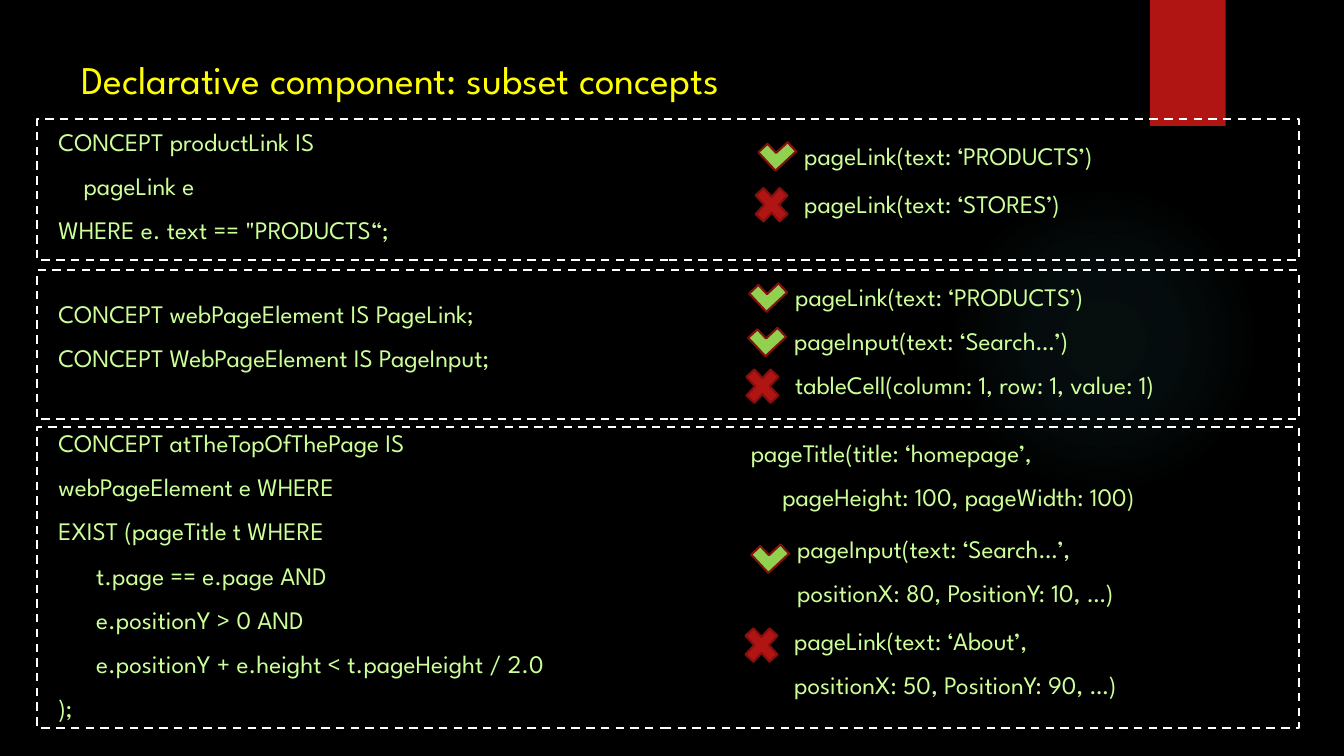
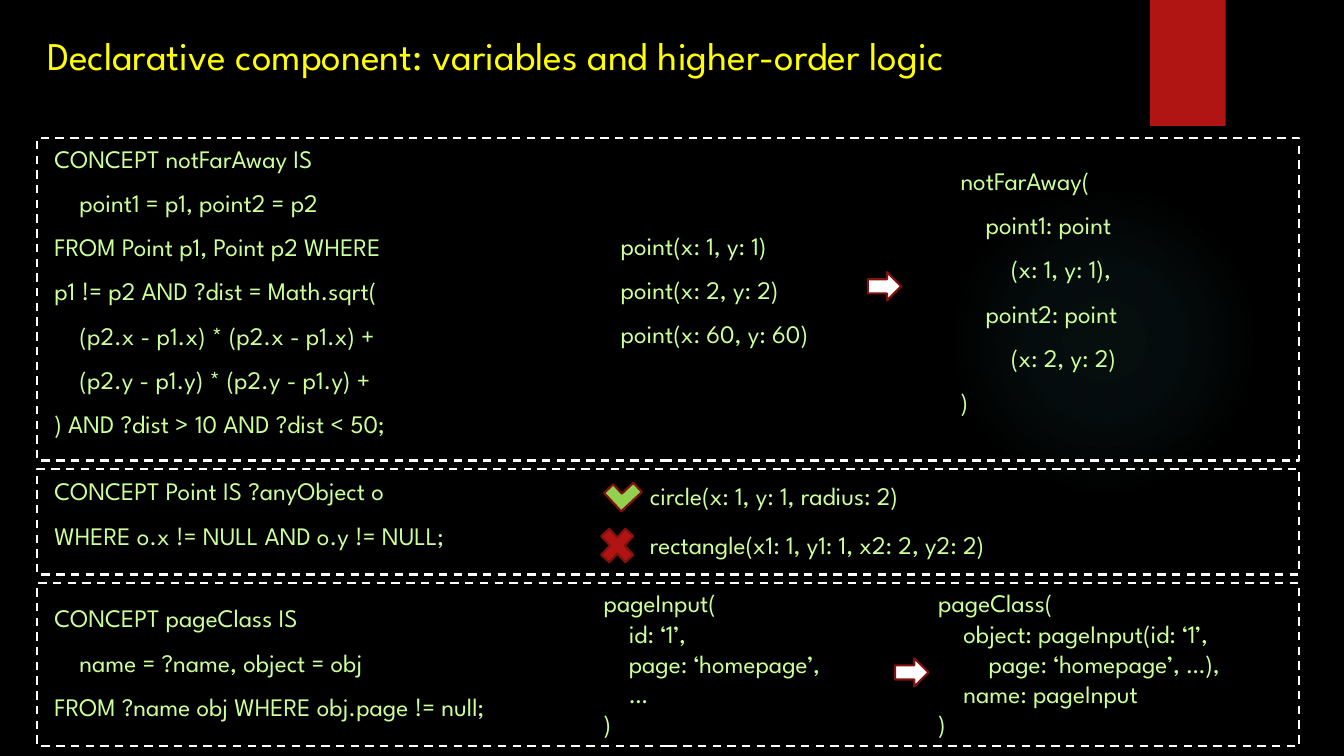
from lxml import etree
from pptx import Presentation
from pptx.dml.color import RGBColor
from pptx.enum.dml import MSO_LINE
from pptx.enum.shapes import MSO_SHAPE as Preset
from pptx.enum.text import MSO_ANCHOR
from pptx.oxml import parse_xml
from pptx.oxml.ns import nsdecls, qn
from pptx.util import Pt

COLORS = {
    "background": "000000",
    "title": "FFFF00",
    "code": "CCFF99",
    "frame": "FFFFFF",
    "arrow": "FFFFFF",
    "ribbon": "B01513",
    "cross": "B01513",
    "tick": "92D050",
    "outline": "82100E",
    "glow": "50B9C1",
}
FONT = "League Spartan"
TITLE_SIZE, CODE_SIZE = 28, 18
LINE_HEIGHT, LINE_GAP, INSET = 21.4, 10, 3.6
INDENT = 18
FRAME_LEFT, FRAME_WIDTH = 26.6, 901.4


def rgb(name):
    return RGBColor.from_string(COLORS[name])


# Basic elements

def add_shape(slide, preset, left, top, width, height, fill=None, line=None):
    shape = slide.shapes.add_shape(preset, Pt(left), Pt(top), Pt(width), Pt(height))
    shape.shadow.inherit = False
    if fill:
        shape.fill.solid()
        shape.fill.fore_color.rgb = rgb(fill)
    else:
        shape.fill.background()
    if line:
        shape.line.color.rgb = rgb(line)
        shape.line.width = Pt(1.5)
    else:
        shape.line.fill.background()
    return shape


def add_text(slide, left, top, width, lines, gap=LINE_GAP, size=CODE_SIZE, color="code"):
    """Each line is a string, or a pair of indent steps and string."""
    height = len(lines) * (LINE_HEIGHT + gap) + 2 * INSET
    box = slide.shapes.add_textbox(Pt(left), Pt(top), Pt(width), Pt(height))
    frame = box.text_frame
    frame.word_wrap = True
    frame.vertical_anchor = MSO_ANCHOR.TOP
    for number, line in enumerate(lines):
        steps, text = line if isinstance(line, tuple) else (0, line)
        paragraph = frame.add_paragraph() if number else frame.paragraphs[0]
        paragraph.text = text
        paragraph.space_before = Pt(gap)
        if steps:
            paragraph._p.get_or_add_pPr().set("marL", str(Pt(steps * INDENT)))
        for run in paragraph.runs:
            run.font.name = FONT
            run.font.size = Pt(size)
            run.font.color.rgb = rgb(color)


# Shared decoration

def add_glow(slide):
    glow = add_shape(slide, Preset.OVAL, 677.5, 131.8, 221.8, 221.8)
    stops = "".join(
        f'<a:gs pos="{position}000"><a:srgbClr val="{COLORS["glow"]}">'
        f'<a:alpha val="{alpha}000"/></a:srgbClr></a:gs>'
        for position, alpha in ((0, 7), (36, 6), (69, 0))
    )
    gradient = parse_xml(
        f'<a:gradFill {nsdecls("a")}><a:gsLst>{stops}</a:gsLst><a:path path="circle">'
        '<a:fillToRect l="50000" t="50000" r="50000" b="50000"/></a:path></a:gradFill>'
    )
    properties = glow._element.spPr
    properties.replace(properties.find(qn("a:noFill")), gradient)


def add_ribbon(slide):
    ribbon = add_shape(slide, Preset.RECTANGLE, 821.5, 0, 54, 90, "ribbon")
    effects = ribbon._element.spPr.find(qn("a:effectLst"))
    shadow = etree.SubElement(
        effects, qn("a:outerShdw"),
        blurRad=str(Pt(3)), dist=str(Pt(2)), dir="5400000", rotWithShape="0")
    color = etree.SubElement(shadow, qn("a:srgbClr"), val="000000")
    etree.SubElement(color, qn("a:alpha"), val="45000")


def add_slide(presentation, title, left, top):
    slide = presentation.slides.add_slide(presentation.slide_layouts[6])
    add_glow(slide)
    add_ribbon(slide)
    add_text(slide, left, top, 780, [title], 0, TITLE_SIZE, "title")
    return slide


# Content elements

def add_frames(slide, spans):
    for top, height in spans:
        frame = add_shape(slide, Preset.RECTANGLE, FRAME_LEFT, top,
                          FRAME_WIDTH, height, line="frame")
        frame.line.dash_style = MSO_LINE.DASH


def add_match(slide, left, top, lines, drop=0):
    add_text(slide, left, top, 355, lines)
    tick = add_shape(slide, Preset.CORNER, left - 22.3, top + 3 + drop,
                     20.2, 18, "tick", "outline")
    tick.rotation = 316.9


def add_mismatch(slide, left, top, lines, drop=0):
    add_text(slide, left, top, 355, lines)
    add_shape(slide, Preset.MATH_MULTIPLY, left - 32.8, top - 2.7 + drop,
              33.1, 36, "cross", "outline")


def add_arrow(slide, left, top):
    add_shape(slide, Preset.RIGHT_ARROW, left, top, 23.8, 20.2, "arrow", "outline")


# Slides

def build_subset_slide(presentation):
    slide = add_slide(presentation, "Declarative component: subset concepts", 51.1, 36)
    add_frames(slide, [(85, 101), (193, 106.5), (305.3, 214.5)])

    # Concept definitions
    add_text(slide, 34.6, 86.4, 409, [
        "CONCEPT productLink IS",
        (1, "pageLink e"),
        'WHERE e. text == "PRODUCTS“;',
    ])
    add_text(slide, 34.6, 209.5, 446, [
        "CONCEPT webPageElement IS PageLink;",
        "CONCEPT WebPageElement IS PageInput;",
    ])
    add_text(slide, 34.6, 301.7, 463, [
        "CONCEPT atTheTopOfThePage IS",
        "webPageElement e WHERE",
        "EXIST (pageTitle t WHERE",
        (1.5, "t.page == e.page AND"),
        (1.5, "e.positionY > 0 AND"),
        (1.5, "e.positionY + e.height < t.pageHeight / 2.0"),
        ");",
    ])

    # Examples
    add_match(slide, 567.4, 96.5, ["pageLink(text: ‘PRODUCTS’)"])
    add_mismatch(slide, 567.4, 131, ["pageLink(text: ‘STORES’)"])
    add_match(slide, 560.9, 197.3, ["pageLink(text: ‘PRODUCTS’)"])
    add_match(slide, 560.2, 229, ["pageInput(text: ‘Search…’)"])
    add_mismatch(slide, 560.9, 260.6, ["tableCell(column: 1, row: 1, value: 1)"])
    add_text(slide, 529.2, 308.9, 364, [
        "pageTitle(title: ‘homepage’,",
        (1.25, "pageHeight: 100, pageWidth: 100)"),
    ])
    add_match(slide, 562.3, 377.3, [
        "pageInput(text: ‘Search…’,",
        "positionX: 80, PositionY: 10, …)",
    ], drop=6.5)
    add_mismatch(slide, 560.2, 442.8, [
        "pageLink(text: ‘About’,",
        "positionX: 50, PositionY: 90, …)",
    ], drop=2.7)


def build_variables_slide(presentation):
    slide = add_slide(
        presentation, "Declarative component: variables and higher-order logic", 26.6, 18.7)
    add_frames(slide, [(98.6, 230.4), (334.8, 75.6), (416.2, 116.6)])

    # Concept definitions
    add_text(slide, 31.7, 98.6, 409, [
        "CONCEPT notFarAway IS",
        (1, "point1 = p1, point2 = p2"),
        "FROM Point p1, Point p2 WHERE",
        "p1 != p2 AND ?dist = Math.sqrt(",
        (1, "(p2.x - p1.x) * (p2.x - p1.x) +"),
        (1, "(p2.y - p1.y) * (p2.y - p1.y) +"),
        ") AND ?dist > 10 AND ?dist < 50;",
    ])
    add_text(slide, 31.7, 336.2, 409, [
        "CONCEPT Point IS ?anyObject o",
        "WHERE o.x != NULL AND o.y != NULL;",
    ])
    add_text(slide, 31.7, 427, 409, [
        "CONCEPT pageClass IS",
        (1, "name = ?name, object = obj"),
        "FROM ?name obj WHERE obj.page != null;",
    ])

    # Points to a derived pair
    add_text(slide, 436.3, 160.6, 178, [
        "point(x: 1, y: 1)",
        "point(x: 2, y: 2)",
        "point(x: 60, y: 60)",
    ])
    add_arrow(slide, 619.9, 194.4)
    add_text(slide, 679, 114.5, 178, [
        "notFarAway(",
        (1, "point1: point"),
        (2, "(x: 1, y: 1),"),
        (1, "point2: point"),
        (2, "(x: 2, y: 2)"),
        ")",
    ])

    # Objects tested as points
    add_match(slide, 457.2, 339.8, ["circle(x: 1, y: 1, radius: 2)"])
    add_mismatch(slide, 457.2, 374.4, ["rectangle(x1: 1, y1: 1, x2: 2, y2: 2)"])

    # Input to its class
    add_text(slide, 424.1, 416.2, 222, [
        "pageInput(",
        (1, "id: ‘1’,"),
        (1, "page: ‘homepage’,"),
        (1, "…"),
        ")",
    ], gap=0)
    add_arrow(slide, 639.4, 470.2)
    add_text(slide, 663.1, 416.2, 274, [
        "pageClass(",
        (1, "object: pageInput(id: ‘1’,"),
        (2, "page: ‘homepage’, …),"),
        (1, "name: pageInput"),
        ")",
    ], gap=0)


def main():
    presentation = Presentation()
    presentation.slide_width, presentation.slide_height = Pt(960), Pt(540)
    background = presentation.slide_master.background.fill
    background.solid()
    background.fore_color.rgb = rgb("background")
    build_subset_slide(presentation)
    build_variables_slide(presentation)
    presentation.save("out.pptx")


if __name__ == "__main__":
    main()
